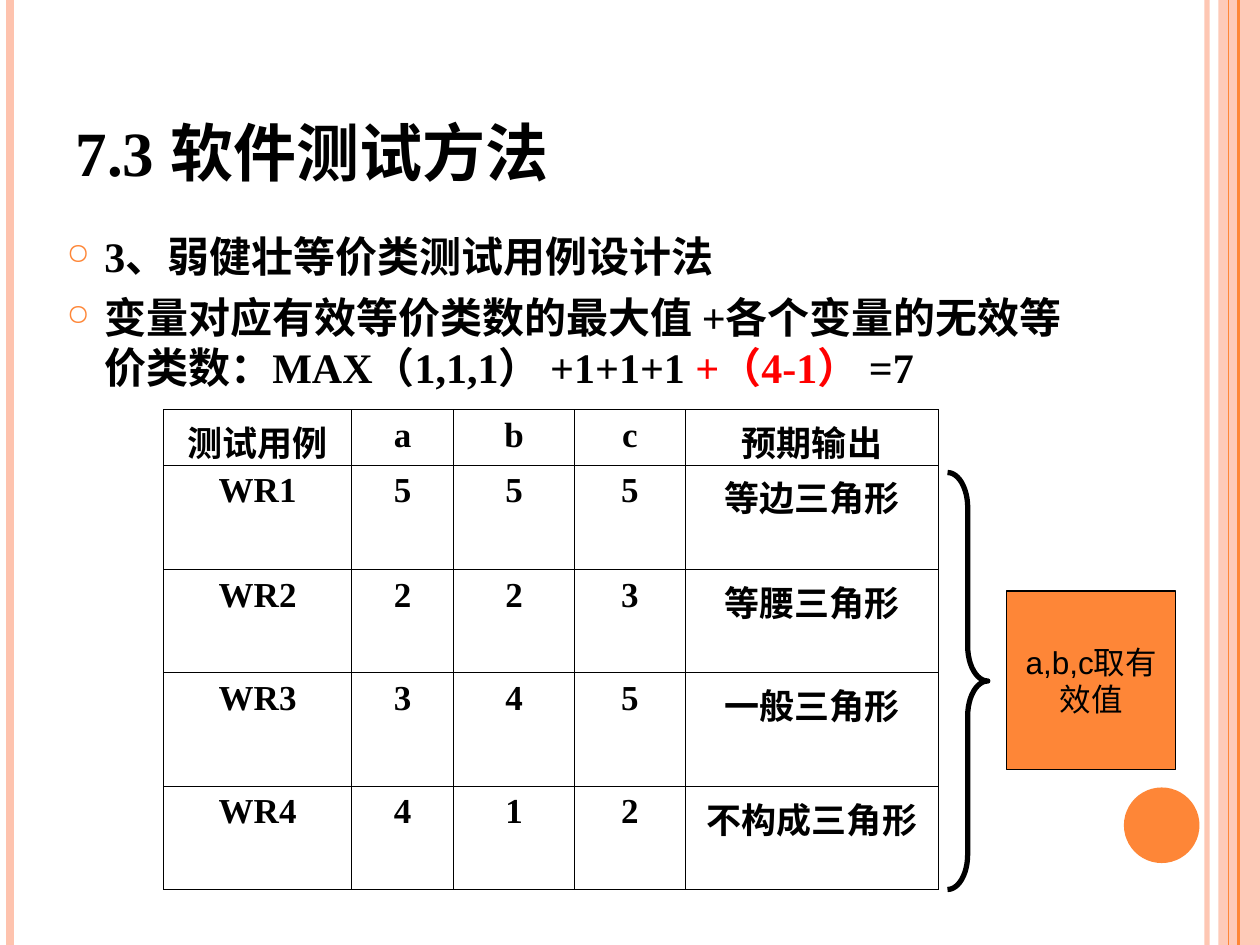
"""Build the slide on weak robust equivalence class test cases."""
from typing import Any, NamedTuple

from lxml import etree
from pptx import Presentation
from pptx.dml.color import RGBColor
from pptx.enum.shapes import MSO_CONNECTOR, MSO_SHAPE
from pptx.enum.text import MSO_ANCHOR, MSO_AUTO_SIZE, PP_ALIGN
from pptx.oxml.ns import qn
from pptx.util import Inches, Pt

STRAIGHT = MSO_CONNECTOR.STRAIGHT
RECTANGLE, OVAL, BRACE = MSO_SHAPE.RECTANGLE, MSO_SHAPE.OVAL, MSO_SHAPE.RIGHT_BRACE
MIDDLE, BOTTOM = MSO_ANCHOR.MIDDLE, MSO_ANCHOR.BOTTOM
LEFT, CENTER = PP_ALIGN.LEFT, PP_ALIGN.CENTER
NO_FIT = MSO_AUTO_SIZE.NONE
ORANGE, PEACH, BLACK, RED = "FE8637", "FEC3AE", "000000", "FF0000"
SERIF, SANS = "Times New Roman", "Arial"


class Stripe(NamedTuple):
    x: float
    color: str
    width: float
    opacity: int = 100


class Box(NamedTuple):
    left: float
    top: float
    width: float
    height: float


class Piece(NamedTuple):
    text: str
    color: str = BLACK


STRIPES = [
    Stripe(9.58, PEACH, 3, 93),
    Stripe(0.08, PEACH, 4.5),
    Stripe(9.83, ORANGE, 1.5),
    Stripe(9.75, ORANGE, 0.75),
]
POINTS = [
    [Piece("3、弱健壮等价类测试用例设计法")],
    [
        Piece("变量对应有效等价类数的最大值 +各个变量的无效等价类数：MAX（1,1,1） +1+1+1 "),
        Piece("+（4-1） ", RED),
        Piece("=7"),
    ],
]
CASES = [
    ["测试用例", "a", "b", "c", "预期输出"],
    ["WR1", "5", "5", "5", "等边三角形"],
    ["WR2", "2", "2", "3", "等腰三角形"],
    ["WR3", "3", "4", "5", "一般三角形"],
    ["WR4", "4", "1", "2", "不构成三角形"],
]
COLUMN_WIDTHS = [1.49, 0.81, 0.96, 0.88, 2.01]
ROW_HEIGHTS = [0.44, 0.83, 0.82, 0.9, 0.82]


def assign(target: Any, values: dict[str, Any]) -> None:
    for name, value in values.items():
        setattr(target, name, value)


def paint(color_format: Any, color: str, opacity: int = 100) -> None:
    color_format.rgb = RGBColor.from_string(color)
    if opacity < 100:
        for srgb in color_format._xFill.iter(qn("a:srgbClr")):
            etree.SubElement(srgb, qn("a:alpha"), val=str(opacity * 1000))


def fill_solid(fill: Any, color: str, opacity: int = 100) -> None:
    fill.solid()
    fill.fore_color.rgb = RGBColor.from_string(color)
    if opacity < 100:
        srgb = next(fill._xPr.iter(qn("a:srgbClr")))
        etree.SubElement(srgb, qn("a:alpha"), val=str(opacity * 1000))


def write(paragraph: Any, piece: Piece, size: float, font: str = SERIF, bold: bool = True) -> None:
    run = paragraph.add_run()
    run.text = piece.text
    assign(run.font, {"size": Pt(size), "name": font, "bold": bold})
    fill_solid(run.font.fill, piece.color)


def draw_stripe(slide: Any, stripe: Stripe) -> None:
    x = Inches(stripe.x)
    line = slide.shapes.add_connector(STRAIGHT, x, 0, x, Inches(7.5))
    line.line.width = Pt(stripe.width)
    fill_solid(line.line.fill, stripe.color, stripe.opacity)
    etree.SubElement(line._element.spPr, qn("a:effectLst"))


def draw_shape(slide: Any, kind: Any, box: Box, color: str = "", opacity: int = 100,
               line_width: float = 0) -> Any:
    shape = slide.shapes.add_shape(kind, *map(Inches, box))
    shape.shadow.inherit = False
    if color:
        fill_solid(shape.fill, color, opacity)
    else:
        shape.fill.background()
    if line_width:
        shape.line.width = Pt(line_width)
        fill_solid(shape.line.fill, BLACK)
    else:
        shape.line.fill.background()
    return shape


def add_bullet(paragraph: Any) -> None:
    properties = paragraph._p.get_or_add_pPr()
    assign_indent = {"marL": Inches(0.3), "indent": Inches(-0.3)}
    for name, value in assign_indent.items():
        properties.set(name, str(value))
    bullet_color = etree.SubElement(properties, qn("a:buClr"))
    etree.SubElement(bullet_color, qn("a:srgbClr"), val=ORANGE)
    etree.SubElement(properties, qn("a:buSzPct"), val="70000")
    etree.SubElement(properties, qn("a:buChar"), char="○")


def draw_title(slide: Any, text: str, box: Box) -> None:
    title = slide.shapes.title
    assign(title, dict(zip(("left", "top", "width", "height"), map(Inches, box))))
    frame = title.text_frame
    assign(frame, {"vertical_anchor": BOTTOM, "word_wrap": True, "auto_size": NO_FIT})
    frame.paragraphs[0].alignment = LEFT
    write(frame.paragraphs[0], Piece(text), 36)


def draw_points(slide: Any, points: list[list[Piece]], box: Box) -> None:
    frame = slide.shapes.add_textbox(*map(Inches, box)).text_frame
    frame.word_wrap = True
    for index, pieces in enumerate(points):
        paragraph = frame.add_paragraph() if index else frame.paragraphs[0]
        add_bullet(paragraph)
        paragraph.space_before = Pt(6 if index else 0)
        for piece in pieces:
            write(paragraph, piece, 24)


def format_cell(cell: Any, text: str) -> None:
    properties = cell._tc.get_or_add_tcPr()
    for side in ("a:lnL", "a:lnR", "a:lnT", "a:lnB"):
        border = etree.SubElement(properties, qn(side), w=str(Pt(0.45)))
        solid = etree.SubElement(border, qn("a:solidFill"))
        etree.SubElement(solid, qn("a:srgbClr"), val=BLACK)
    cell.fill.background()
    paragraph = cell.text_frame.paragraphs[0]
    paragraph.alignment = CENTER
    write(paragraph, Piece(text), 20)


def draw_cases(slide: Any, box: Box) -> None:
    table = slide.shapes.add_table(len(CASES), len(CASES[0]), *map(Inches, box)).table
    assign(table, {"first_row": False, "horz_banding": False})
    for column, width in zip(table.columns, COLUMN_WIDTHS):
        column.width = Inches(width)
    for row, height, texts in zip(table.rows, ROW_HEIGHTS, CASES):
        row.height = Inches(height)
        for cell, text in zip(row.cells, texts):
            format_cell(cell, text)


def draw_note(slide: Any, text: str, box: Box) -> None:
    frame = draw_shape(slide, RECTANGLE, box, ORANGE, line_width=0.75).text_frame
    assign(frame, {"vertical_anchor": MIDDLE, "word_wrap": True})
    frame.paragraphs[0].alignment = CENTER
    write(frame.paragraphs[0], Piece(text), 18, SANS, False)


def main() -> None:
    deck = Presentation()
    assign(deck, {"slide_width": Inches(10), "slide_height": Inches(7.5)})
    slide = deck.slides.add_slide(deck.slide_layouts[5])
    draw_shape(slide, RECTANGLE, Box(9.67, 0, 0.33, 7.5), PEACH, 87)
    for stripe in STRIPES:
        draw_stripe(slide, stripe)
    draw_shape(slide, OVAL, Box(8.92, 6.25, 0.6, 0.6), ORANGE)
    draw_title(slide, "7.3 软件测试方法", Box(0.5, 0.3, 8.17, 1.25))
    draw_points(slide, POINTS, Box(0.43, 1.78, 8.17, 5.33))
    draw_cases(slide, Box(1.3, 3.25, sum(COLUMN_WIDTHS), sum(ROW_HEIGHTS)))
    brace = draw_shape(slide, BRACE, Box(7.52, 3.75, 0.32, 3.31), line_width=3)
    brace.adjustments[0] = 0.87
    draw_note(slide, "a,b,c取有效值", Box(7.99, 4.69, 1.34, 1.42))
    deck.save("out.pptx")


if __name__ == "__main__":
    main()
